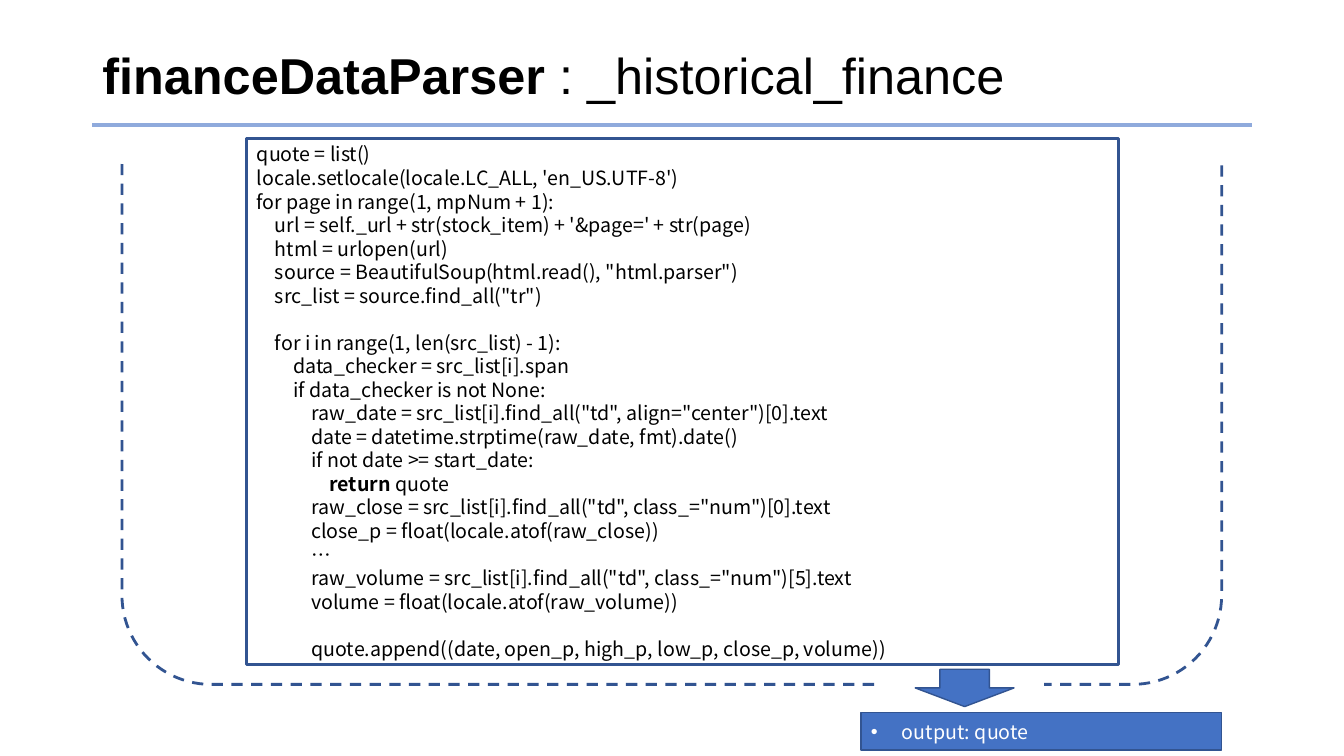
import pptx
import pptx.dml.color
import pptx.enum.dml
import pptx.enum.shapes
import pptx.enum.text
import pptx.oxml
import pptx.oxml.ns
import pptx.util
import lxml.etree

SHAPES = pptx.enum.shapes.MSO_SHAPE
WIDTH, HEIGHT = pptx.util.Inches(13.33), pptx.util.Inches(7.5)
COLUMNS, ROWS = 160, 90
BLACK, WHITE, BLUE, NAVY, PALE_BLUE = "000000", "FFFFFF", "4472C4", "325491", "8FAADC"
CODE_FONT = "Noto Sans CJK KR"
CODE_LINE = pptx.util.Pt(16.8)
CODE_INDENT = pptx.util.Inches(0.18)

CODE_BLOCKS = [
    [
        (0, "quote = list()"),
        (0, "locale.setlocale(locale.LC_ALL, 'en_US.UTF-8')"),
        (0, "for page in range(1, mpNum + 1):"),
        (1, "url = self._url + str(stock_item) + '&page=' + str(page)"),
        (1, "html = urlopen(url)"),
        (1, 'source = BeautifulSoup(html.read(), "html.parser")'),
        (1, 'src_list = source.find_all("tr")'),
    ],
    [
        (1, "for i in range(1, len(src_list) - 1):"),
        (2, "data_checker = src_list[i].span"),
        (2, "if data_checker is not None:"),
        (3, 'raw_date = src_list[i].find_all("td", align="center")[0].text'),
        (3, "date = datetime.strptime(raw_date, fmt).date()"),
        (3, "if not date >= start_date:"),
        (4, "return ", "quote"),
        (3, 'raw_close = src_list[i].find_all("td", class_="num")[0].text'),
        (3, "close_p = float(locale.atof(raw_close))"),
        (3, "…"),
        (3, 'raw_volume = src_list[i].find_all("td", class_="num")[5].text'),
        (3, "volume = float(locale.atof(raw_volume))"),
    ],
    [(3, "quote.append((date, open_p, high_p, low_p, close_p, volume))")],
]


def color(value):
    return pptx.dml.color.RGBColor.from_string(value)


def grid(left, top, width, height):
    return (
        int(WIDTH * left / COLUMNS),
        int(HEIGHT * top / ROWS),
        int(WIDTH * width / COLUMNS),
        int(HEIGHT * height / ROWS),
    )


def add_run(paragraph, text, font_name, size, font_color, bold=False):
    run = paragraph.add_run()
    run.text = text
    run.font.name = font_name
    run.font.size = pptx.util.Pt(size)
    run.font.bold = bold
    run.font.color.rgb = color(font_color)
    east_asian = lxml.etree.SubElement(run.font._element, pptx.oxml.ns.qn("a:ea"))
    east_asian.set("typeface", font_name)


def add_box(shapes, kind, place, fill, line, line_width=1):
    shape = shapes.add_shape(kind, *grid(*place))
    shape.shadow.inherit = False
    if fill:
        shape.fill.solid()
        shape.fill.fore_color.rgb = color(fill)
    else:
        shape.fill.background()
    shape.line.color.rgb = color(line)
    shape.line.width = pptx.util.Pt(line_width)
    return shape


def add_mask(shapes, place):
    add_box(shapes, SHAPES.RECTANGLE, place, WHITE, WHITE)


def start_text(shape):
    frame = shape.text_frame
    frame.word_wrap = True
    frame.vertical_anchor = pptx.enum.text.MSO_ANCHOR.MIDDLE
    paragraph = frame.paragraphs[0]
    paragraph.alignment = pptx.enum.text.PP_ALIGN.LEFT
    return paragraph


def add_title(slide):
    title = slide.shapes.title
    title.left, title.top, title.width, title.height = grid(11, 4.8, 138, 9)
    title.text_frame.auto_size = pptx.enum.text.MSO_AUTO_SIZE.NONE
    paragraph = start_text(title)
    paragraph.line_spacing = 0.9
    add_run(paragraph, "financeDataParser", "Arial", 36, BLACK, True)
    add_run(paragraph, " : _historical_finance", "Arial", 36, BLACK)


def add_rule(slide):
    left, top, width, _ = grid(11, 14.88, 138, 0)
    rule = slide.shapes.add_connector(
        pptx.enum.shapes.MSO_CONNECTOR.STRAIGHT, left, top, left + width, top
    )
    rule.line.color.rgb = color(PALE_BLUE)
    rule.line.width = pptx.util.Pt(3.16)
    lxml.etree.SubElement(rule._element.spPr, pptx.oxml.ns.qn("a:effectLst"))


def add_dashed_frame(slide):
    place = (14.52, 19.08, 130.92, 62.4)
    frame = add_box(slide.shapes, SHAPES.ROUND_2_SAME_RECTANGLE, place, None, NAVY, 2)
    frame.adjustments[0] = 0
    frame.adjustments[1] = 0.17
    frame.line.dash_style = pptx.enum.dml.MSO_LINE.DASH
    add_mask(slide.shapes, (14.52, 16.8, 130.92, 2.64))


def add_code(slide):
    place = (29.4, 16.44, 103.8, 62.64)
    box = add_box(slide.shapes, SHAPES.RECTANGLE, place, None, NAVY, 2)
    paragraph = start_text(box)
    for block_number, block in enumerate(CODE_BLOCKS):
        for line_number, (level, *parts) in enumerate(block):
            if block_number or line_number:
                paragraph = box.text_frame.add_paragraph()
            paragraph.alignment = pptx.enum.text.PP_ALIGN.LEFT
            paragraph.line_spacing = CODE_LINE
            if block_number and not line_number:
                paragraph.space_before = CODE_LINE
            properties = paragraph._p.get_or_add_pPr()
            properties.set("marL", str(level * CODE_INDENT))
            properties.set("indent", "0")
            for part in parts:
                add_run(paragraph, part, CODE_FONT, 14, BLACK, part == "return ")


def add_output(slide):
    add_mask(slide.shapes, (105.12, 80.88, 18.84, 2.88))
    shapes = slide.shapes.add_group_shape().shapes
    place = (102.48, 84.84, 42.96, 4.44)
    box = add_box(shapes, SHAPES.RECTANGLE, place, BLUE, NAVY)
    paragraph = start_text(box)
    indent = pptx.util.Inches(0.31)
    properties = paragraph._p.get_or_add_pPr()
    properties.set("marL", str(indent))
    properties.set("indent", str(-indent))
    bullet_font = lxml.etree.SubElement(properties, pptx.oxml.ns.qn("a:buFont"))
    bullet_font.set("typeface", "Arial")
    bullet = lxml.etree.SubElement(properties, pptx.oxml.ns.qn("a:buChar"))
    bullet.set("char", "•")
    add_run(paragraph, "output: quote", CODE_FONT, 14, WHITE)
    add_mask(shapes, (105.36, 80.16, 18.84, 2.28))
    add_box(shapes, SHAPES.DOWN_ARROW, (108.96, 79.68, 11.76, 4.44), BLUE, NAVY)


def main():
    presentation = pptx.Presentation()
    presentation.slide_width, presentation.slide_height = WIDTH, HEIGHT
    slide = presentation.slides.add_slide(presentation.slide_layouts[5])
    add_title(slide)
    add_rule(slide)
    add_dashed_frame(slide)
    add_code(slide)
    add_output(slide)
    presentation.save("out.pptx")


if __name__ == "__main__":
    main()
